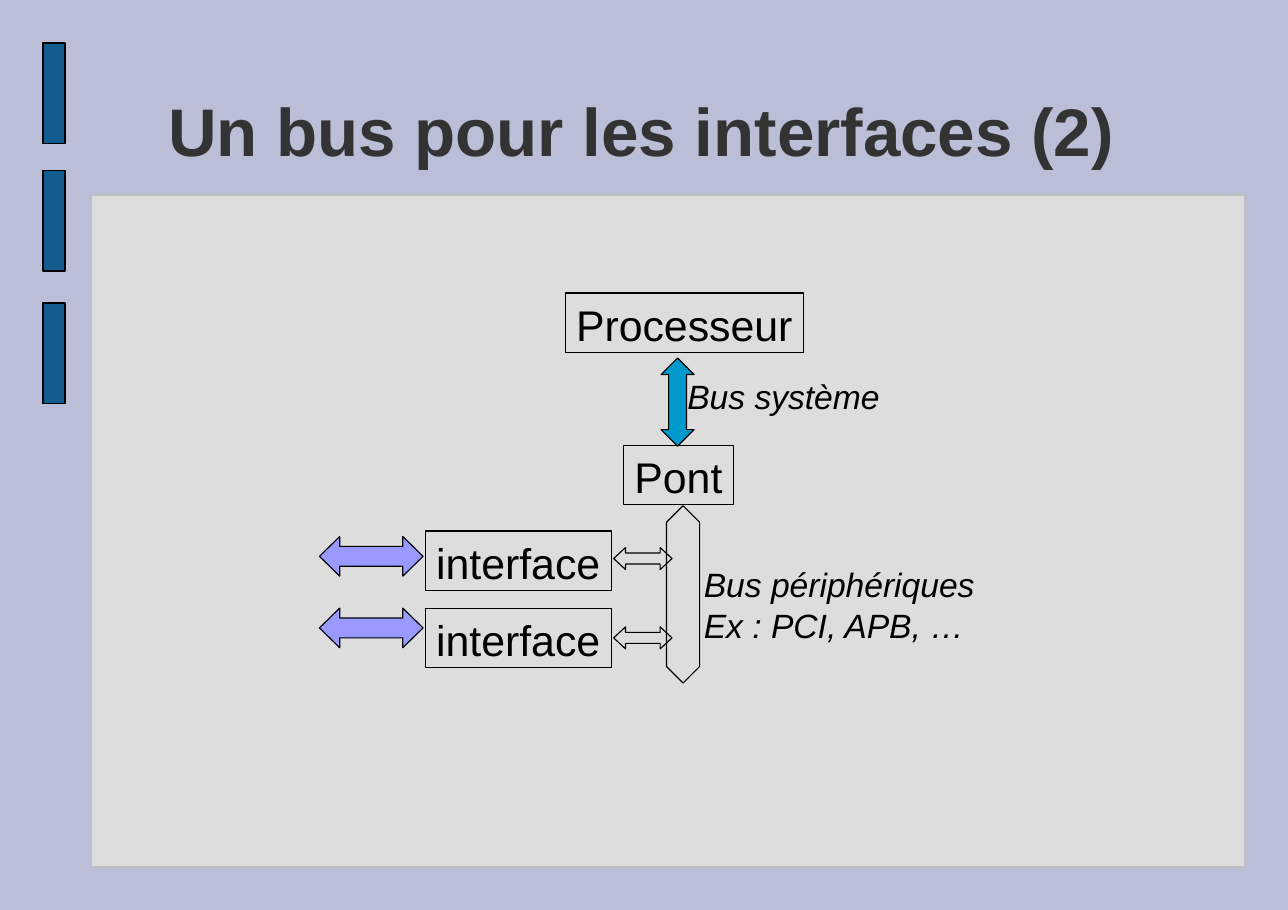
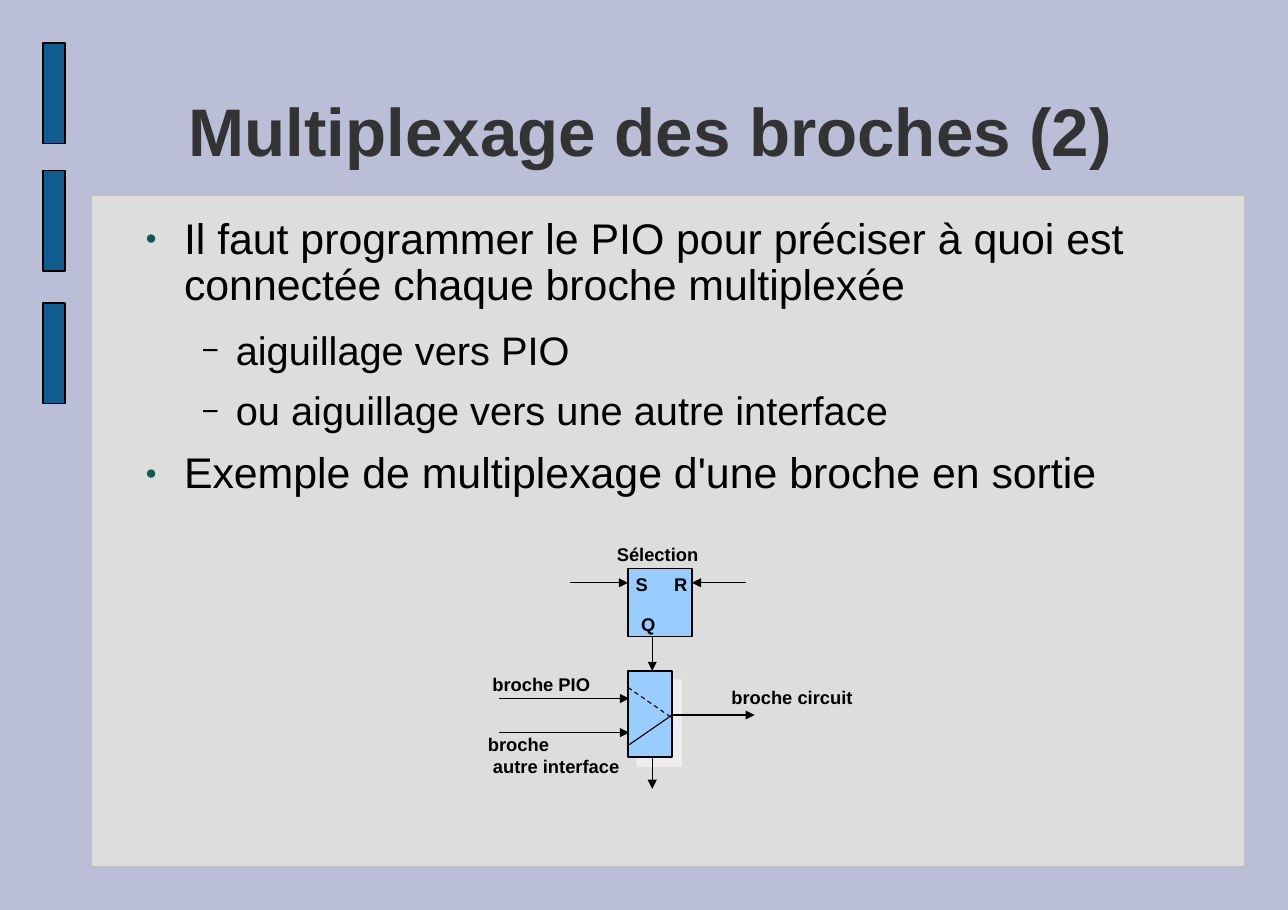
import pptx
import pptx.util
import pptx.dml.color
import pptx.enum.dml
import pptx.enum.shapes
import pptx.enum.text
import pptx.oxml
import pptx.oxml.ns

Inches = pptx.util.Inches
Pt = pptx.util.Pt
RGBColor = pptx.dml.color.RGBColor
PRESET = pptx.enum.shapes.MSO_SHAPE
ALIGN = pptx.enum.text.PP_ALIGN
ANCHOR = pptx.enum.text.MSO_ANCHOR

LAVENDER = RGBColor(0xBA, 0xBE, 0xD6)
PANEL_GRAY = RGBColor(0xDD, 0xDD, 0xDD)
EDGE_GRAY = RGBColor(0xC0, 0xC0, 0xC0)
BAR_BLUE = RGBColor(0x12, 0x5C, 0x8D)
TITLE_GRAY = RGBColor(0x33, 0x33, 0x33)
BLACK = RGBColor(0, 0, 0)
SYSTEM_BLUE = RGBColor(0x00, 0x99, 0xCC)
VIOLET = RGBColor(0x99, 0x99, 0xFF)
LIGHT_BLUE = RGBColor(0x99, 0xCC, 0xFF)
BULLET_GREEN = RGBColor(0x0E, 0x59, 0x4D)

FONT = "Arial"
NAMESPACE = pptx.oxml.ns.nsdecls("a")


def add_shape(slide, preset, box, fill=None, line=BLACK, width=0.75):
    shape = slide.shapes.add_shape(preset, *map(Inches, box))
    shape.shadow.inherit = False
    if fill is None:
        shape.fill.background()
    else:
        shape.fill.solid()
        shape.fill.fore_color.rgb = fill
    shape.line.color.rgb = line
    shape.line.width = Pt(width)
    return shape


def write_text(shape, lines, size, color=BLACK, align=ALIGN.LEFT,
               anchor=ANCHOR.TOP, insets=(0.1, 0.05), wrap=False, **style):
    horizontal, vertical = map(Inches, insets)
    frame = shape.text_frame
    frame.text = "\n".join(lines)
    frame_format = {
        "margin_left": horizontal, "margin_right": horizontal,
        "margin_top": vertical, "margin_bottom": vertical,
        "vertical_anchor": anchor, "word_wrap": wrap,
        "auto_size": pptx.enum.text.MSO_AUTO_SIZE.NONE,
    }
    for name, value in frame_format.items():
        setattr(frame, name, value)
    for paragraph in frame.paragraphs:
        paragraph.alignment = align
        font = paragraph.runs[0].font
        font.color.rgb = color
        for name, value in {"name": FONT, "size": Pt(size), **style}.items():
            setattr(font, name, value)


presentation = pptx.Presentation()
presentation.slide_width = Inches(11.69)
presentation.slide_height = Inches(8.26)
master = presentation.slide_master
master.background.fill.solid()
master.background.fill.fore_color.rgb = LAVENDER

bus_slide = presentation.slides.add_slide(presentation.slide_layouts[5])
pin_slide = presentation.slides.add_slide(presentation.slide_layouts[1])

# Panel and side bars, moved to the master so that both slides share them
decorations = [add_shape(bus_slide, PRESET.RECTANGLE, (0.83, 1.77, 10.47, 6.1),
                         PANEL_GRAY, EDGE_GRAY, 0)]
for top in (0.39, 1.55, 2.75):
    decorations.append(add_shape(bus_slide, PRESET.RECTANGLE,
                                 (0.39, top, 0.2, 0.91), BAR_BLUE, BLACK, 0))
for number, shape in enumerate(decorations):
    shape.element.nvSpPr.cNvPr.set("id", str(100 + number))
    master.shapes.element.insert(2 + number, shape.element)

# Titles
for slide, text in (
    (bus_slide, "Un bus pour les interfaces (2) "),
    (pin_slide, "Multiplexage des broches (2)"),
):
    title = slide.shapes.title
    title.left, title.top, title.width, title.height = map(
        Inches, (0.79, 0.59, 10.24, 1.18))
    write_text(title, [text], 44, TITLE_GRAY, ALIGN.CENTER, ANCHOR.MIDDLE,
               (0, 0), wrap=True, bold=True)

# Bus slide: components
for text, box in (
    ("Processeur", (5.13, 2.66, 2.16, 0.54)),
    ("Pont", (5.66, 4.04, 1, 0.54)),
    ("interface", (3.86, 4.82, 1.69, 0.54)),
    ("interface", (3.86, 5.52, 1.69, 0.54)),
):
    write_text(add_shape(bus_slide, PRESET.RECTANGLE, box), [text], 28)

# Bus slide: double arrows
for preset, box, head, fill in (
    (PRESET.UP_DOWN_ARROW, (6, 3.25, 0.3, 0.8), 0.54, SYSTEM_BLUE),
    (PRESET.LEFT_RIGHT_ARROW, (2.9, 4.87, 0.94, 0.36), 0.51, VIOLET),
    (PRESET.LEFT_RIGHT_ARROW, (2.9, 5.52, 0.94, 0.36), 0.51, VIOLET),
    (PRESET.UP_DOWN_ARROW, (6.05, 4.59, 0.3, 1.61), 1.08, None),
    (PRESET.LEFT_RIGHT_ARROW, (5.57, 4.97, 0.53, 0.2), 0.54, None),
    (PRESET.LEFT_RIGHT_ARROW, (5.57, 5.69, 0.53, 0.2), 0.54, None),
):
    arrow = add_shape(bus_slide, preset, box, fill)
    arrow.adjustments[0] = 0.5
    arrow.adjustments[1] = head

# Bus slide: bus names
for lines, box in (
    (["Bus système"], (6.14, 3.36, 1.94, 0.44)),
    (["Bus périphériques", "Ex : PCI, APB, …"], (6.29, 5.07, 2.66, 0.79)),
):
    label = bus_slide.shapes.add_textbox(*map(Inches, box))
    write_text(label, lines, 22, italic=True)

# Pin slide: bulleted list
levels = (
    {"size": 28, "margin": 0.47, "hanging": 0.35, "after": 14.2,
     "bullet": "●", "color": BULLET_GREEN, "percent": 45},
    {"size": 26, "margin": 0.94, "hanging": 0.31, "after": 11.3,
     "bullet": "−", "color": BLACK, "percent": 75},
)
items = (
    (0, "Il faut programmer le PIO pour préciser à quoi est connectée "
        "chaque broche multiplexée"),
    (1, "aiguillage vers PIO"),
    (1, "ou aiguillage vers une autre interface"),
    (0, "Exemple de multiplexage d'une broche en sortie"),
)
body = pin_slide.placeholders[1]
body.left, body.top, body.width, body.height = map(
    Inches, (1.2, 1.97, 9.31, 5.31))
write_text(body, [text for _, text in items], 28, insets=(0, 0), wrap=True)
for paragraph, (level, _) in zip(body.text_frame.paragraphs, items):
    style = levels[level]
    paragraph_format = {"level": level, "line_spacing": 0.9,
                        "space_before": Pt(0),
                        "space_after": Pt(style["after"])}
    for name, value in paragraph_format.items():
        setattr(paragraph, name, value)
    paragraph.runs[0].font.size = Pt(style["size"])
    properties = paragraph._p.get_or_add_pPr()
    properties.set("marL", str(Inches(style["margin"])))
    properties.set("indent", str(-Inches(style["hanging"])))
    for xml in (
        f'<a:buClr {NAMESPACE}><a:srgbClr val="{style["color"]}"/></a:buClr>',
        f'<a:buSzPct {NAMESPACE} val="{style["percent"] * 1000}"/>',
        f'<a:buFont {NAMESPACE} typeface="{FONT}"/>',
        f'<a:buChar {NAMESPACE} char="{style["bullet"]}"/>',
    ):
        properties.append(pptx.oxml.parse_xml(xml))

# Pin slide: multiplexer with its shadow, and selection latch
multiplexer = add_shape(pin_slide, PRESET.RECTANGLE, (5.7, 6.09, 0.4, 0.78),
                        LIGHT_BLUE, width=1)
effects = multiplexer.element.spPr.find(pptx.oxml.ns.qn("a:effectLst"))
effects.append(pptx.oxml.parse_xml(
    f'<a:outerShdw {NAMESPACE} dist="{Pt(8.5)}" dir="2700000" algn="tl" '
    'rotWithShape="0"><a:srgbClr val="FFFFFF"><a:alpha val="50000"/>'
    '</a:srgbClr></a:outerShdw>'))
add_shape(pin_slide, PRESET.RECTANGLE, (5.7, 5.16, 0.58, 0.62),
          LIGHT_BLUE, width=1)

# Pin slide: signals (arrows) and switch positions (plain lines)
for ends, kind in (
    ((6.1, 6.49, 6.85, 6.49), "arrow"),
    ((5.92, 5.78, 5.92, 6.09), "arrow"),
    ((5.17, 5.29, 5.7, 5.29), "arrow"),
    ((6.77, 5.29, 6.28, 5.29), "arrow"),
    ((5.92, 6.87, 5.92, 7.16), "arrow"),
    ((4.53, 6.34, 5.71, 6.34), "arrow"),
    ((4.53, 6.65, 5.71, 6.65), "arrow"),
    ((5.71, 6.76, 6.1, 6.49), "solid"),
    ((5.7, 6.24, 6.09, 6.51), "dashed"),
):
    connector = pin_slide.shapes.add_connector(
        pptx.enum.shapes.MSO_CONNECTOR.STRAIGHT, *map(Inches, ends))
    connector.line.color.rgb = BLACK
    connector.line.width = Pt(0.75)
    properties = connector.element.spPr
    if kind == "dashed":
        connector.line.dash_style = pptx.enum.dml.MSO_LINE.DASH
    if kind == "arrow":
        properties.find(pptx.oxml.ns.qn("a:ln")).append(
            pptx.oxml.parse_xml(f'<a:tailEnd {NAMESPACE} type="triangle"/>'))
    properties.append(pptx.oxml.parse_xml(f"<a:effectLst {NAMESPACE}/>"))

# Pin slide: labels
for lines, box in (
    (["Sélection"], (5.5, 4.88, 1.13, 0.4)),
    (["Q"], (5.72, 5.52, 0.33, 0.29)),
    (["S"], (5.67, 5.15, 0.31, 0.29)),
    (["R"], (6.02, 5.15, 0.32, 0.29)),
    (["broche PIO"], (4.37, 6.06, 1.18, 0.4)),
    (["broche", " autre interface"], (4.33, 6.61, 1.42, 0.4)),
    (["broche circuit"], (6.54, 6.18, 1.54, 0.4)),
):
    label = pin_slide.shapes.add_textbox(*map(Inches, box))
    write_text(label, lines, 12, wrap=len(lines[0]) > 1, bold=True)

presentation.save("out.pptx")
